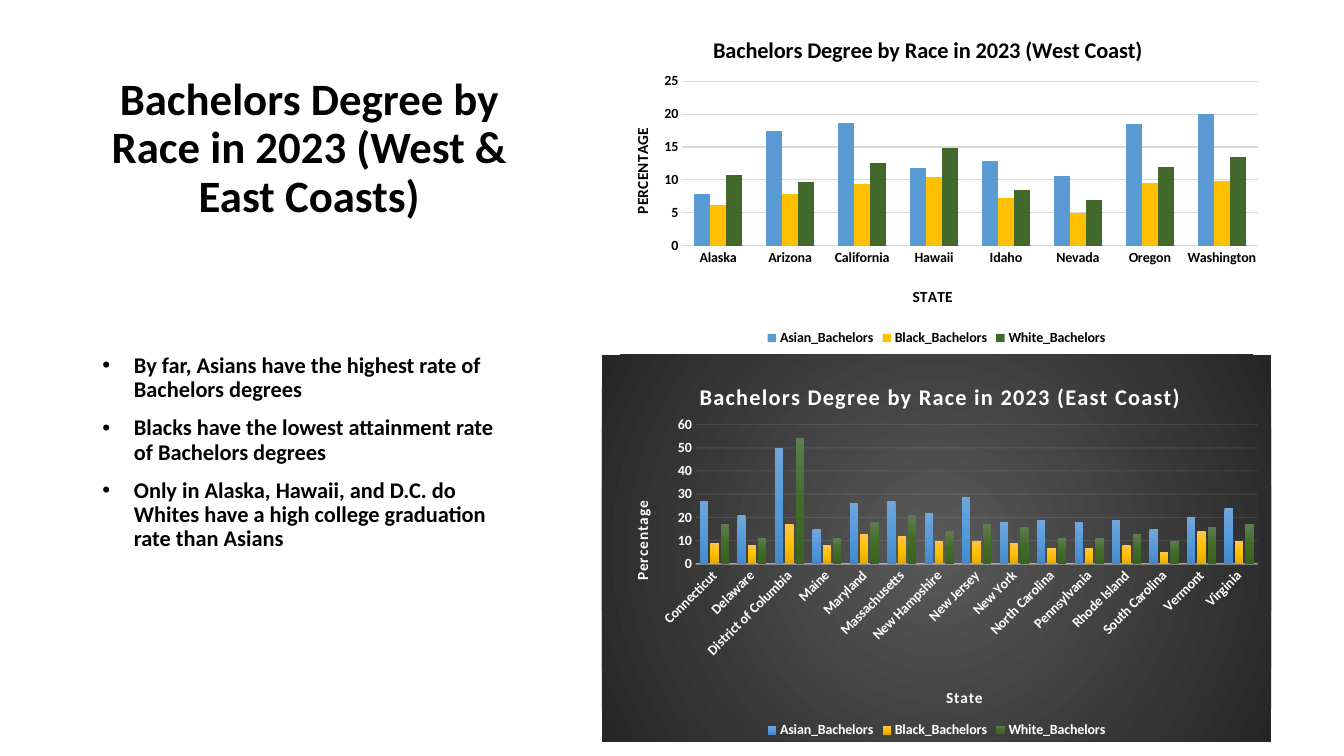
import pptx
import pptx.chart.data
import pptx.dml.color
import pptx.enum.chart
import pptx.enum.text
import pptx.oxml
import pptx.oxml.ns
import pptx.util

Pt = pptx.util.Pt
RGBColor = pptx.dml.color.RGBColor
qn = pptx.oxml.ns.qn

FONT = "Calibri"
BLACK = RGBColor(0x00, 0x00, 0x00)
WHITE = RGBColor(0xFF, 0xFF, 0xFF)
GRID_GREY = RGBColor(0xD9, 0xD9, 0xD9)
PALE_GREY = RGBColor(0xF2, 0xF2, 0xF2)
DARK_STOPS = (RGBColor(0x59, 0x59, 0x59), RGBColor(0x26, 0x26, 0x26))
FLAT_COLORS = (RGBColor(0x5B, 0x9B, 0xD5), RGBColor(0xFF, 0xC0, 0x00), RGBColor(0x43, 0x68, 0x2B))
SERIES_STOPS = (
    (RGBColor(0x71, 0xA6, 0xDB), RGBColor(0x55, 0x9B, 0xDB), RGBColor(0x44, 0x8A, 0xCA)),
    (RGBColor(0xFF, 0xC6, 0x4B), RGBColor(0xFF, 0xC0, 0x00), RGBColor(0xE3, 0xAB, 0x00)),
    (RGBColor(0x60, 0x7B, 0x53), RGBColor(0x43, 0x6B, 0x28), RGBColor(0x3B, 0x62, 0x20)),
)
LINEAR = '<a:lin ang="5400000" scaled="0"/>'
RADIAL = '<a:path path="circle"><a:fillToRect l="50000" t="50000" r="50000" b="50000"/></a:path>'

SERIES_NAMES = ("Asian_Bachelors", "Black_Bachelors", "White_Bachelors")
POINTS = (
    "By far, Asians have the highest rate of Bachelors degrees",
    "Blacks have the lowest attainment rate of Bachelors degrees",
    "Only in Alaska, Hawaii, and D.C. do Whites have a high college graduation rate than Asians",
)
# State: Asian, Black, White
WEST = {
    "Alaska": (7.8, 6.2, 10.8), "Arizona": (17.5, 7.9, 9.7),
    "California": (18.6, 9.4, 12.6), "Hawaii": (11.8, 10.4, 14.9),
    "Idaho": (12.9, 7.2, 8.5), "Nevada": (10.6, 4.9, 6.9),
    "Oregon": (18.5, 9.5, 11.9), "Washington": (20, 9.9, 13.5),
}
EAST = {
    "Connecticut": (27, 9, 17), "Delaware": (21, 8, 11),
    "District of Columbia": (50, 17, 54), "Maine": (15, 8, 11),
    "Maryland": (26, 13, 18), "Massachusetts": (27, 12, 21),
    "New Hampshire": (22, 10, 14), "New Jersey": (29, 10, 17),
    "New York": (18, 9, 16), "North Carolina": (19, 7, 11),
    "Pennsylvania": (18, 7, 11), "Rhode Island": (19, 8, 13),
    "South Carolina": (15, 5, 10), "Vermont": (20, 14, 16),
    "Virginia": (24, 10, 17),
}


def style_font(font, size, color):
    font.name, font.size, font.bold = FONT, Pt(size), True
    font.color.rgb = color


def add_run(paragraph, text, size, color):
    run = paragraph.add_run()
    run.text = text
    style_font(run.font, size, color)
    return run


def place_placeholder(shape, box, anchor):
    shape.left, shape.top, shape.width, shape.height = map(Pt, box)
    frame = shape.text_frame
    frame.word_wrap = True
    frame.auto_size = pptx.enum.text.MSO_AUTO_SIZE.NONE
    frame.vertical_anchor = anchor
    return frame


def fill_title(shape):
    frame = place_placeholder(shape, (66, 36, 310, 126), pptx.enum.text.MSO_ANCHOR.BOTTOM)
    paragraph = frame.paragraphs[0]
    paragraph.alignment = pptx.enum.text.PP_ALIGN.CENTER
    paragraph.line_spacing = 0.9
    add_run(paragraph, "Bachelors Degree by Race in 2023 (West & East Coasts)", 32, BLACK)


def fill_body(shape):
    frame = place_placeholder(shape, (66, 173.5, 310, 300), pptx.enum.text.MSO_ANCHOR.MIDDLE)
    for index, text in enumerate(POINTS):
        paragraph = frame.add_paragraph() if index else frame.paragraphs[0]
        paragraph.line_spacing = 0.9
        paragraph.space_before = Pt(10)
        properties = paragraph._p.get_or_add_pPr()
        properties.set("marL", str(Pt(22.5)))
        properties.set("indent", str(-Pt(22.5)))
        add_run(paragraph, text, 16, BLACK)


def gradient_xml(colors, direction):
    last = len(colors) - 1
    stops = "".join(
        f'<a:gs pos="{100000 * i // last}"><a:srgbClr val="{color}"/></a:gs>'
        for i, color in enumerate(colors))
    return (f'<a:gradFill {pptx.oxml.ns.nsdecls("a")} rotWithShape="1">'
            f'<a:gsLst>{stops}</a:gsLst>{direction}</a:gradFill>')


def set_layout(element, position, **values):
    """Place a chart part by fractions of the chart area."""
    for old in element.findall(qn("c:layout")):
        element.remove(old)
    inner = '<c:layoutTarget val="inner"/>' if "w" in values else ""
    modes = "".join(f'<c:{k}Mode val="edge"/>' for k in "xy")
    numbers = "".join(f'<c:{k} val="{v}"/>' for k, v in values.items())
    element.insert(position, pptx.oxml.parse_xml(
        f'<c:layout {pptx.oxml.ns.nsdecls("c")}><c:manualLayout>'
        f'{inner}{modes}{numbers}</c:manualLayout></c:layout>'))


def set_chart_title(title, text, size, color, place, spacing=0, rotation=0):
    run = add_run(title.text_frame.paragraphs[0], text, size, color)
    run._r.get_or_add_rPr().set("spc", str(spacing))
    body = title.text_frame._txBody.bodyPr
    body.set("rot", str(rotation * 60000))
    body.set("vert", "horz")
    set_layout(title._element, 1, x=place[0], y=place[1])


def set_line(line, color, width, opacity=100):
    line.width = Pt(width)
    line.color.rgb = color
    node = line._ln.find(".//" + qn("a:srgbClr"))
    node.append(pptx.oxml.parse_xml(
        f'<a:alpha {pptx.oxml.ns.nsdecls("a")} val="{opacity * 1000}"/>'))


def add_column_chart(slide, box, states, heading, axis_names, color, plot_box, places,
                     maximum, step, gap, overlap=0, spacing=(0, 0), grid=(GRID_GREY, 100)):
    data = pptx.chart.data.CategoryChartData(number_format="0")
    data.categories = list(states)
    for name, values in zip(SERIES_NAMES, zip(*states.values())):
        data.add_series(name, values)
    kind = pptx.enum.chart.XL_CHART_TYPE.COLUMN_CLUSTERED
    chart = slide.shapes.add_chart(kind, *map(Pt, box), data).chart
    style_font(chart.font, 10, color)

    # Titles
    chart.has_title = True
    set_chart_title(chart.chart_title, heading, 16, color, places[0], spacing[0])
    axes = (chart.category_axis, chart.value_axis)
    for axis, name, place, rotation in zip(axes, axis_names, places[1:], (0, -90)):
        set_chart_title(axis.axis_title, name, 11, color, place, spacing[1], rotation)
        axis.major_tick_mark = pptx.enum.chart.XL_TICK_MARK.NONE
        axis.format.line.fill.background()
        style_font(axis.tick_labels.font, 10, color)

    # Scale, grid and legend
    value_axis = chart.value_axis
    value_axis.minimum_scale, value_axis.maximum_scale = 0, maximum
    value_axis.major_unit = step
    value_axis.tick_labels.number_format = "0"
    value_axis.tick_labels.number_format_is_linked = False
    set_line(value_axis.major_gridlines.format.line, grid[0], 0.75, grid[1])
    chart.has_legend = True
    chart.legend.position = pptx.enum.chart.XL_LEGEND_POSITION.BOTTOM
    chart.legend.include_in_layout = False
    style_font(chart.legend.font, 10, color)

    # Columns
    plot = chart.plots[0]
    plot.vary_by_categories = False
    plot.gap_width, plot.overlap = gap, overlap
    for series, fill_color in zip(plot.series, FLAT_COLORS):
        series.format.fill.solid()
        series.format.fill.fore_color.rgb = fill_color
    plot_area = chart._chartSpace.find(".//" + qn("c:plotArea"))
    set_layout(plot_area, 0, **dict(zip("xywh", plot_box)))
    return chart


def apply_dark_style(chart):
    background = pptx.oxml.parse_xml(
        f'<c:spPr {pptx.oxml.ns.nsdecls("c", "a")}>{gradient_xml(DARK_STOPS, RADIAL)}'
        '<a:ln><a:noFill/></a:ln></c:spPr>')
    chart._chartSpace.find(qn("c:txPr")).addprevious(background)
    for series, colors in zip(chart.plots[0].series, SERIES_STOPS):
        properties = series._element.get_or_add_spPr()
        properties.replace(properties.find(qn("a:solidFill")),
                           pptx.oxml.parse_xml(gradient_xml(colors, LINEAR)))
    axis = chart.category_axis
    set_line(axis.format.line, PALE_GREY, 1, 54)
    axis._element.find(qn("c:txPr")).find(qn("a:bodyPr")).set("rot", str(-45 * 60000))


def main():
    presentation = pptx.Presentation()
    presentation.slide_width, presentation.slide_height = Pt(960), Pt(540)
    slide = presentation.slides.add_slide(presentation.slide_layouts[1])
    fill_title(slide.shapes.title)
    fill_body(slide.placeholders[1])

    add_column_chart(
        slide, (430, 10, 478, 240), WEST, "Bachelors Degree by Race in 2023 (West Coast)",
        ("STATE", "PERCENTAGE"), BLACK, (0.12, 0.2, 0.86, 0.49),
        ((0.16, 0.05), (0.46, 0.8), (0.04, 0.33)), maximum=25, step=5, gap=150)
    east_chart = add_column_chart(
        slide, (430, 253.5, 478, 276.5), EAST, "Bachelors Degree by Race in 2023 (East Coast)",
        ("State", "Percentage"), WHITE, (0.14, 0.18, 0.84, 0.36),
        ((0.14, 0.06), (0.51, 0.85), (0.04, 0.37)), maximum=60, step=10, gap=100,
        overlap=-24, spacing=(100, 50), grid=(PALE_GREY, 10))
    apply_dark_style(east_chart)
    presentation.save("out.pptx")


if __name__ == "__main__":
    main()
